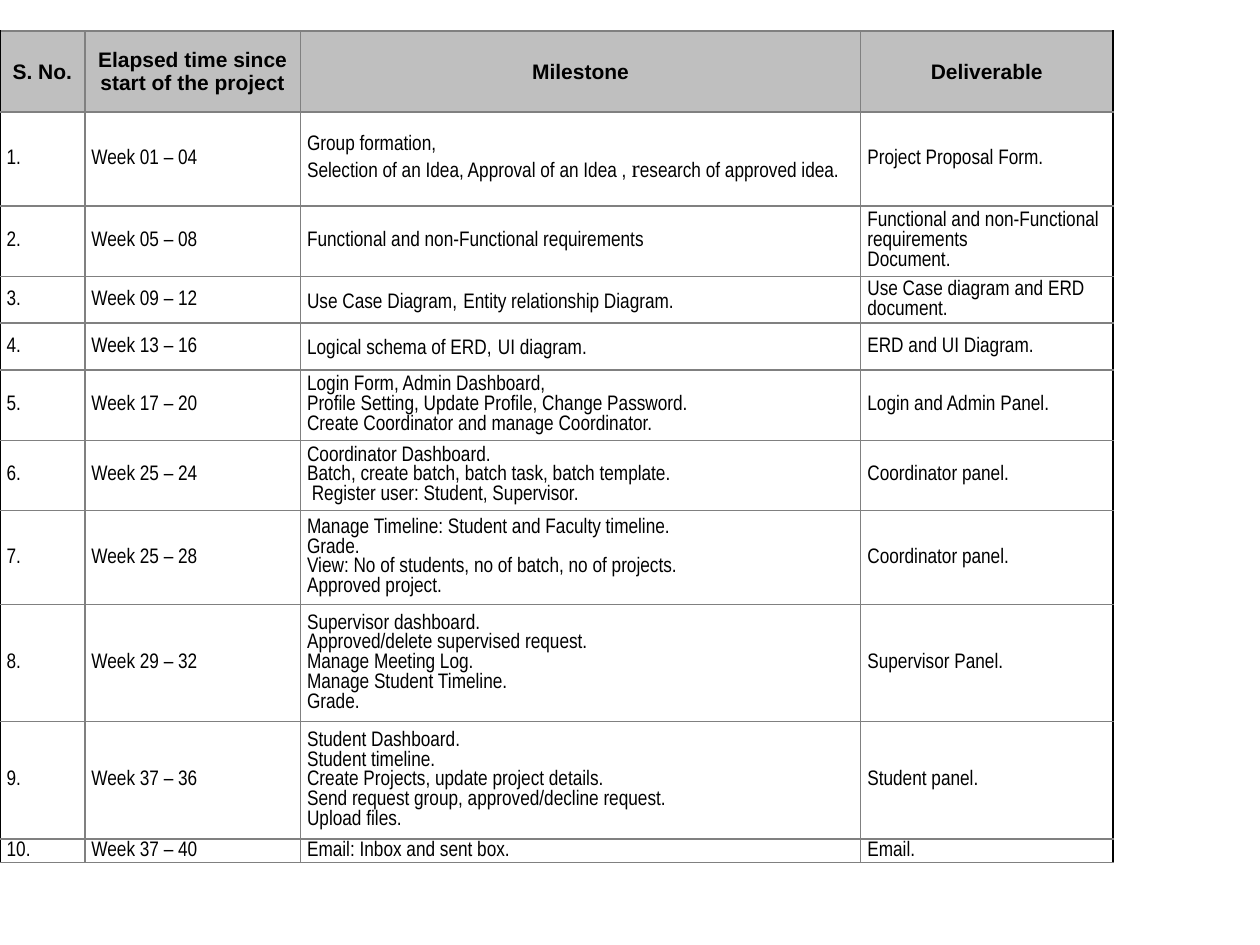
from dataclasses import dataclass
from itertools import product

from lxml import etree
from pptx import Presentation
from pptx import util as u
from pptx.dml.color import RGBColor
from pptx.enum import text
from pptx.oxml import ns

BLACK = RGBColor(0x00, 0x00, 0x00)
GREY = RGBColor(0x80, 0x80, 0x80)
HEADER_FILL = RGBColor(0xBF, 0xBF, 0xBF)
HEADER_FONT, BODY_FONT, ACCENT_FONT = "Arial", "Arial Narrow", "Times New Roman"

COLUMN_WIDTHS = (48.5, 123.2, 320.2, 144.1)
HEADER_HEIGHT = 46.3
LINE_HEIGHT = 13.4
HEADINGS = ("S. No.", "Elapsed time since start of the project", "Milestone", "Deliverable")


@dataclass(frozen=True)
class Stage:
    """One row; "|" in a text marks a piece set in the accent font."""
    weeks: str
    milestone: str
    deliverable: str
    lines: int


STAGES = (
    Stage("Week 01 – 04 ", "Group formation,\nSelection of an Idea, Approval of an Idea , "
          "|r|esearch of approved idea.", "Project Proposal Form.", 4),
    Stage("Week 05 – 08 ", "Functional and non-Functional requirements",
          "Functional and non-Functional requirements\nDocument.", 3),
    Stage("Week 09 – 12", "Use Case Diagram,| |Entity relationship Diagram.",
          "Use Case diagram and ERD document.", 2),
    Stage("Week 13 – 16 ", "Logical schema of ERD,| |UI diagram.", "ERD and UI Diagram.", 2),
    Stage("Week 17 – 20", "Login Form, Admin Dashboard,\n"
          "Profile Setting, Update Profile, Change Password.\n"
          "Create Coordinator and manage Coordinator.", "Login and Admin Panel.", 3),
    Stage("Week 25 – 24", "Coordinator Dashboard.\n"
          "Batch, create batch, batch task, batch template.\n"
          " Register user: Student, Supervisor.", "Coordinator panel.", 3),
    Stage("Week 25 – 28 ", "Manage Timeline: Student and Faculty timeline.\nGrade.\n"
          "View: No of students, no of batch, no of projects. \nApproved project.",
          "Coordinator panel.", 4),
    Stage("Week 29 – 32 ", "Supervisor dashboard.\nApproved/delete supervised request.\n"
          "Manage Meeting Log.\nManage Student Timeline.\nGrade.", "Supervisor Panel.", 5),
    Stage("Week 37 – 36 ", "Student Dashboard.\nStudent timeline.\n"
          "Create Projects, update project details.\n"
          "Send request group, approved/decline request.\nUpload files.", "Student panel.", 5),
    Stage("Week 37 – 40 ", "Email: Inbox and sent box.", "Email.", 1),
)


def write_text(cell, words: str, *, font: str, align, bold: bool = False) -> None:
    """Fill a cell: one paragraph per line, every second "|" piece accented."""
    frame = cell.text_frame
    for number, line in enumerate(words.split("\n")):
        para = frame.paragraphs[0] if number == 0 else frame.add_paragraph()
        para.alignment = align
        for index, piece in enumerate(line.split("|")):
            accent = index % 2 == 1
            span = para.add_run()
            span.text = piece
            span.font.name = ACCENT_FONT if accent else font
            span.font.size = u.Pt(14 if accent else 12)
            span.font.bold = bold
            span.font.color.rgb = BLACK


def set_borders(cell, left: RGBColor, right: RGBColor) -> None:
    """Draw 1 pt borders; they must precede the fill in the cell properties."""
    properties = cell._tc.get_or_add_tcPr()
    sides = (("a:lnL", left), ("a:lnR", right), ("a:lnT", GREY), ("a:lnB", GREY))
    for position, (tag, color) in enumerate(sides):
        line = etree.Element(ns.qn(tag), w=str(u.Pt(1)))
        fill = etree.SubElement(line, ns.qn("a:solidFill"))
        etree.SubElement(fill, ns.qn("a:srgbClr"), val=str(color))
        properties.insert(position, line)


def format_cell(cell, column: int, header: bool) -> None:
    cell.vertical_anchor = text.MSO_ANCHOR.MIDDLE
    cell.margin_left = cell.margin_right = u.Pt(3.8)
    cell.margin_top = cell.margin_bottom = u.Pt(0)
    if header:
        cell.fill.solid()
        cell.fill.fore_color.rgb = HEADER_FILL
    else:
        cell.fill.background()
    last = len(COLUMN_WIDTHS) - 1
    set_borders(cell, BLACK if column == 0 else GREY, BLACK if column == last else GREY)


def add_schedule(page) -> None:
    rows = [HEADINGS] + [(f"{number}.", stage.weeks, stage.milestone, stage.deliverable)
                         for number, stage in enumerate(STAGES, 1)]
    heights = [HEADER_HEIGHT] + [stage.lines * LINE_HEIGHT for stage in STAGES]
    table = page.shapes.add_table(len(rows), len(COLUMN_WIDTHS), u.Pt(0), u.Pt(17.8),
                                  u.Pt(sum(COLUMN_WIDTHS)), u.Pt(sum(heights))).table
    table.first_row = table.horz_banding = False
    for column, width in zip(table.columns, COLUMN_WIDTHS):
        column.width = u.Pt(width)
    for row, height in zip(table.rows, heights):
        row.height = u.Pt(height)

    for row, column in product(range(len(rows)), range(len(COLUMN_WIDTHS))):
        cell, header = table.cell(row, column), row == 0
        if header:
            align = text.PP_ALIGN.CENTER
        elif column == len(COLUMN_WIDTHS) - 1:
            align = text.PP_ALIGN.LEFT
        else:
            align = text.PP_ALIGN.JUSTIFY
        write_text(cell, rows[row][column], font=HEADER_FONT if header else BODY_FONT,
                   align=align, bold=header)
        format_cell(cell, column, header)


def main() -> None:
    deck = Presentation()
    deck.slide_width, deck.slide_height = u.Pt(720), u.Pt(540)
    page = deck.slides.add_slide(deck.slide_layouts[6])
    # Project schedule
    add_schedule(page)
    deck.save("out.pptx")


if __name__ == "__main__":
    main()
